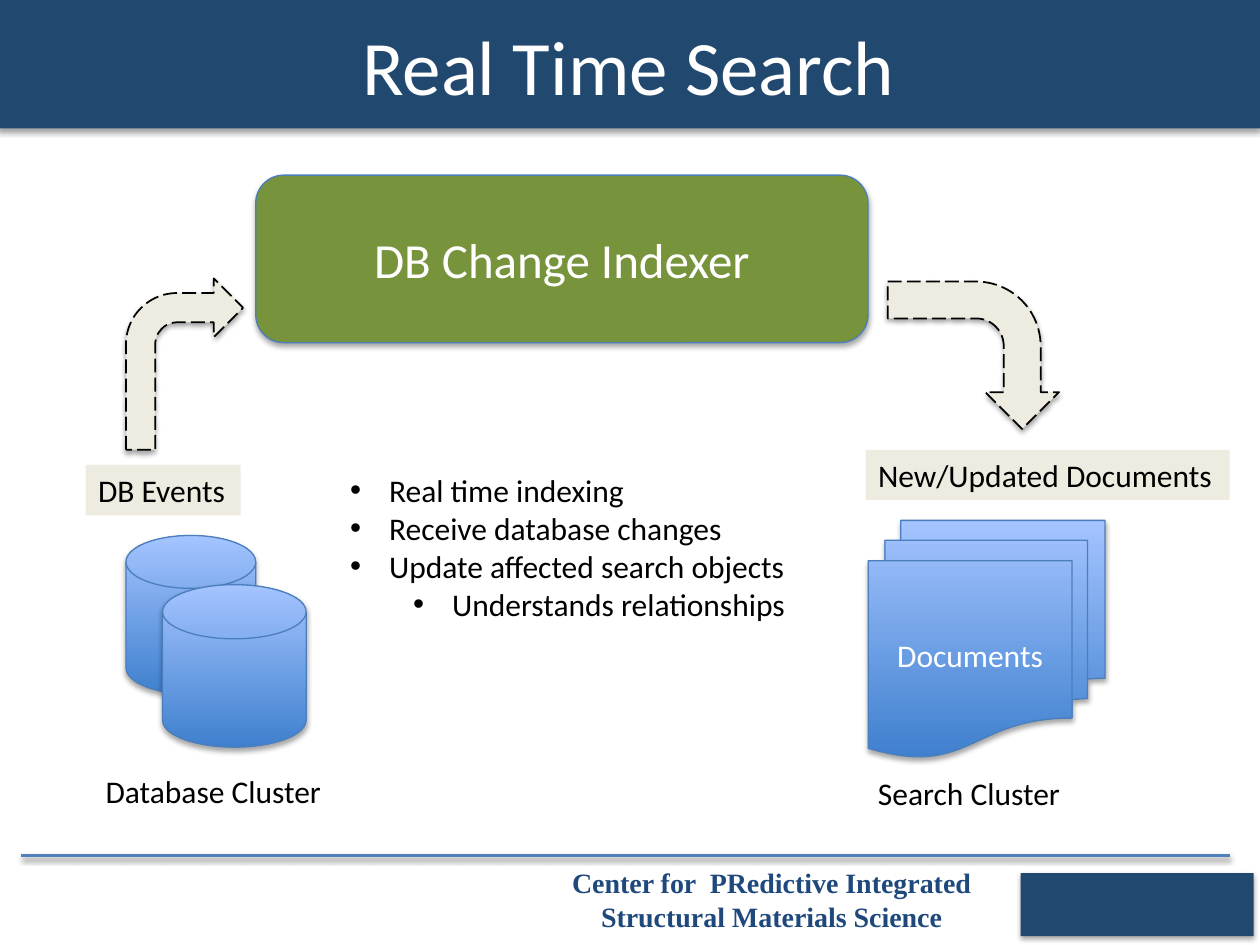
import pptx
import pptx.util
import pptx.dml.color
import pptx.enum.dml
import pptx.enum.shapes
import pptx.enum.text
import pptx.oxml
import pptx.oxml.ns

RGB = pptx.dml.color.RGBColor
NAVY, FOOTER_BLUE = RGB(0x21, 0x48, 0x6E), RGB(0x1F, 0x49, 0x7D)
RULE_BLUE, EDGE_BLUE = RGB(0x4F, 0x81, 0xBD), RGB(0x4B, 0x7E, 0xBC)
DEEP_BLUE, PALE_BLUE = RGB(0x3F, 0x80, 0xCE), RGB(0xA4, 0xC4, 0xFF)
GREEN, CREAM = RGB(0x77, 0x93, 0x3C), RGB(0xEE, 0xEC, 0xE1)
BLACK, WHITE = RGB(0, 0, 0), RGB(0xFF, 0xFF, 0xFF)
SHAPE = pptx.enum.shapes.MSO_SHAPE
ALIGN = pptx.enum.text.PP_ALIGN
ANCHOR = pptx.enum.text.MSO_ANCHOR
Pt = pptx.util.Pt

deck = pptx.Presentation()
deck.slide_width, deck.slide_height = pptx.util.Inches(10), pptx.util.Inches(7.5)
slide = deck.slides.add_slide(deck.slide_layouts[6])

# Grid of 100 columns by 75 rows
COL, ROW = deck.slide_width / 100, deck.slide_height / 75


def area(left, top, width, height):
    return round(left * COL), round(top * ROW), round(width * COL), round(height * ROW)


def add_shadow(item, distance=1.8, opacity=35):
    props = item._element.spPr
    for old in props.findall(pptx.oxml.ns.qn("a:effectLst")):
        props.remove(old)
    props.append(pptx.oxml.parse_xml(
        f'<a:effectLst {pptx.oxml.ns.nsdecls("a")}>'
        f'<a:outerShdw blurRad="{Pt(3.1)}" dist="{Pt(distance)}" dir="5400000" rotWithShape="0">'
        f'<a:srgbClr val="000000"><a:alpha val="{opacity * 1000}"/></a:srgbClr>'
        '</a:outerShdw></a:effectLst>'))


# Footer rule
rule = slide.shapes.add_connector(
    pptx.enum.shapes.MSO_CONNECTOR.STRAIGHT,
    round(1.7 * COL), round(67.9 * ROW), round(97.6 * COL), round(67.9 * ROW))
rule.line.color.rgb = RULE_BLUE
rule.line.width = Pt(2)
add_shadow(rule, 1.6, 38)

# Shapes: kind, place, fill (None is the blue gradient), edge, rotation, text, size
for kind, place, fill, edge, rotation, text, size in (
    (SHAPE.RECTANGLE, (81, 69.3, 18.5, 5), NAVY, None, 0, "", 18),
    (SHAPE.FLOWCHART_MAGNETIC_DISK, (10, 42.5, 10.3, 12.6), None, EDGE_BLUE, 0, "", 18),
    (SHAPE.FLOWCHART_MAGNETIC_DISK, (12.9, 46.4, 11.4, 12.9), None, EDGE_BLUE, 0, "", 18),
    (SHAPE.FLOWCHART_MULTIDOCUMENT, (68.9, 41.3, 18.8, 18.8), None, EDGE_BLUE, 0, "Documents", 18),
    (SHAPE.ROUNDED_RECTANGLE, (20.3, 13.9, 48.6, 13.3), GREEN, EDGE_BLUE, 0, "DB Change Indexer", 28),
    (SHAPE.BENT_ARROW, (10, 22.1, 9.3, 13.6), CREAM, BLACK, 0, "", 18),
    (SHAPE.BENT_ARROW, (71.4, 21.4, 11.7, 13.6), CREAM, BLACK, 90, "", 18),
    (SHAPE.RECTANGLE, (-0.2, 0, 100.2, 10.2), NAVY, None, 0, "Real Time Search", 44),
):
    part = slide.shapes.add_shape(kind, *area(*place))
    part.rotation = rotation
    if fill is None:
        part.fill.gradient()
        part.fill.gradient_angle = 90
        for stop, colour in zip(part.fill.gradient_stops, (DEEP_BLUE, PALE_BLUE)):
            stop.color.rgb = colour
    else:
        part.fill.solid()
        part.fill.fore_color.rgb = fill
    if edge is None:
        part.line.fill.background()
    else:
        part.line.color.rgb = edge
        part.line.width = Pt(0.75)
    if kind == SHAPE.BENT_ARROW:
        part.line.width = Pt(1)
        part.line.dash_style = pptx.enum.dml.MSO_LINE.LONG_DASH
    add_shadow(part)
    if text:
        part.text_frame.vertical_anchor = ANCHOR.MIDDLE
        caption = part.text_frame.paragraphs[0]
        caption.text = text
        caption.alignment = ALIGN.CENTER
        caption.font.name, caption.font.size = "Calibri", Pt(size)
        caption.font.color.rgb = WHITE

# Labels, on cream or on the bare slide
for text, place, fill in (
    ("Database Cluster", (7.4, 60.8, 19.4, 4), None),
    ("Search Cluster", (68.7, 60.9, 16.7, 4), None),
    ("DB Events", (6.8, 36.9, 12.3, 4), CREAM),
    ("New/Updated Documents", (68.7, 35.7, 28.9, 4), CREAM),
):
    label = slide.shapes.add_textbox(*area(*place))
    if fill is not None:
        label.fill.solid()
        label.fill.fore_color.rgb = fill
    label.text_frame.word_wrap = False
    line = label.text_frame.paragraphs[0]
    line.text = text
    line.font.name, line.font.size = "Calibri", Pt(18)
    line.font.color.rgb = BLACK

# Feature list
features = slide.shapes.add_textbox(*area(26.8, 36.9, 37.1, 13.1)).text_frame
features.word_wrap = False
features.text = ("Real time indexing\nReceive database changes\n"
                 "Update affected search objects\nUnderstands relationships")
for feature, level in zip(features.paragraphs, (0, 0, 0, 1)):
    feature.level = level
    feature.font.name, feature.font.size = "Calibri", Pt(18)
    feature.font.color.rgb = BLACK
    props = feature._p.get_or_add_pPr()
    props.set("marL", str(round((3.1 + 5 * level) * COL)))
    props.set("indent", str(round(-3.1 * COL)))
    for bullet in ('buFont {} typeface="Arial"', 'buChar {} char="•"'):
        props.append(pptx.oxml.parse_xml(f'<a:{bullet.format(pptx.oxml.ns.nsdecls("a"))}/>'))
    # The schema puts run defaults after the bullet
    props.append(props.find(pptx.oxml.ns.qn("a:defRPr")))

# Footer name
footer = slide.shapes.add_textbox(*area(37.1, 68.2, 48.3, 6.4)).text_frame
footer.word_wrap = True
footer.text = "Center for  PRedictive Integrated\nStructural Materials Science"
for line in footer.paragraphs:
    line.alignment = ALIGN.CENTER
    line.font.name, line.font.size, line.font.bold = "Times New Roman", Pt(16), True
    line.font.color.rgb = FOOTER_BLUE

deck.save("out.pptx")
